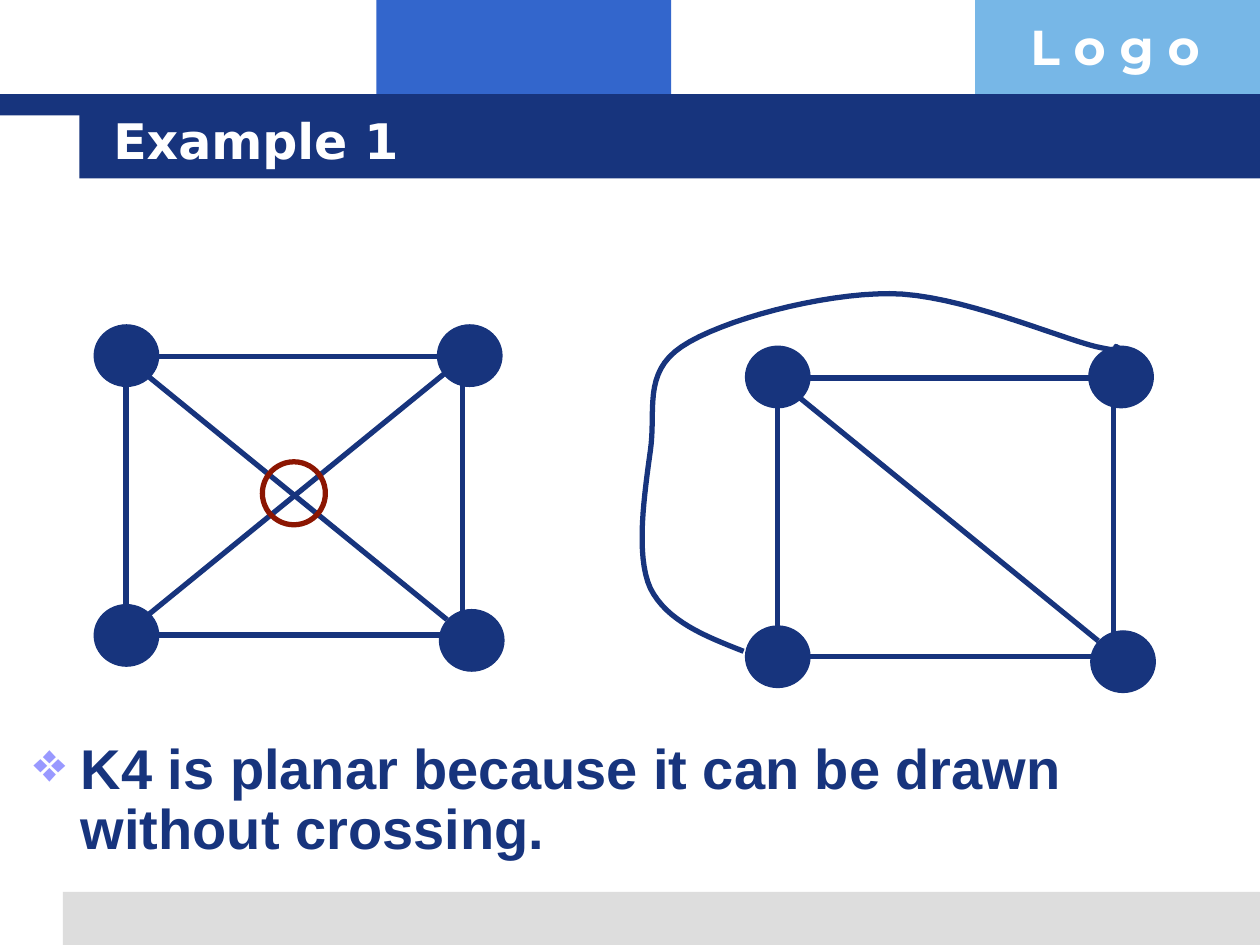
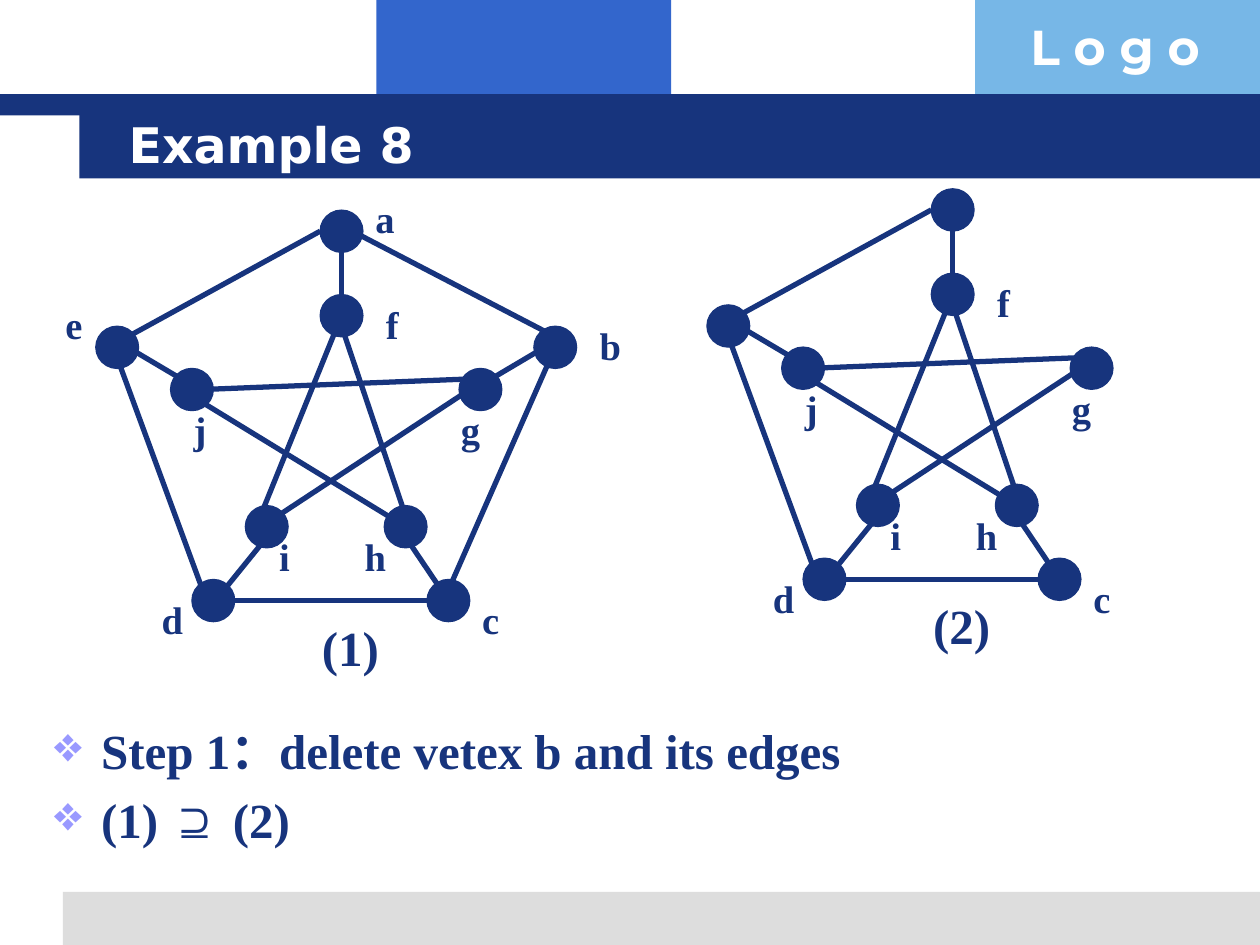
from dataclasses import dataclass

import pptx
import pptx.dml.color
import pptx.enum.shapes
import pptx.enum.text
import pptx.oxml
import pptx.oxml.ns
import pptx.util
from lxml import etree

Cm = pptx.util.Cm
Pt = pptx.util.Pt
SHAPE = pptx.enum.shapes.MSO_SHAPE
ANCHOR = pptx.enum.text.MSO_ANCHOR


@dataclass(frozen=True)
class Theme:
    navy: str = "17347D"
    blue: str = "3366CC"
    sky: str = "77B7E7"
    grey: str = "DDDDDD"
    white: str = "FFFFFF"
    crossing: str = "8C1602"
    bullet: str = "9999FF"
    title_font: str = "DejaVu Sans"
    logo_font: str = "Montserrat"
    sans: str = "Arial"
    serif: str = "Times New Roman"
    heading: int = 28
    statement: int = 32
    label: int = 22
    edge: float = 3
    outline: float = 0.75


# Positions within one K4 drawing, in cm from its top left corner
K4_NODES = [(0, 0), (0, 5.64), (6.92, 0), (6.96, 5.74)]
K4_NODE_SIZE = (1.3, 1.24)
K4_RISING = (0.97, 5.94, 7.11, 0.94)
K4_PLANAR_EDGES = [
    (0.97, 0.94, 7.11, 5.94),
    (1.3, 0.64, 7.11, 0.64),
    (1.3, 6.25, 7.11, 6.25),
    (0.64, 1.24, 0.64, 5.64),
    (7.42, 0.94, 7.42, 5.94),
]
DETOUR_START = (14.99, 13.13)
DETOUR_CURVES = [
    ((14.22, 12.83), (13.44, 12.52), (13.11, 11.86)),
    ((12.8, 11.18), (13, 9.91), (13.11, 9.09)),
    ((13.23, 8.28), (12.95, 7.52), (13.74, 6.99)),
    ((14.55, 6.45), (16.54, 5.92), (17.93, 5.92)),
    ((19.3, 5.92), (21.34, 6.81), (22.1, 6.99)),
    ((22.86, 7.16), (22.45, 6.96), (22.5, 6.99)),
]

# The Petersen graph lies on a grid of 50 columns and 40 rows
COLUMN, ROW = 10.77 / 50, 8.51 / 40
PETERSEN_NODES = {
    "a": (25, 2), "b": (45, 13), "c": (35, 37), "d": (13, 37), "e": (4, 13),
    "f": (25, 10), "g": (38, 17), "h": (31, 30), "i": (18, 30), "j": (11, 17),
}
PETERSEN_LABELS = {
    "a": (29, 0), "b": (50, 12), "c": (39, 38), "d": (9, 38), "e": (0, 10),
    "f": (30, 10), "g": (37, 20), "h": (28, 32), "i": (20, 32), "j": (12, 20),
}
PETERSEN_EDGES = {
    "ab": (28, 4, 47, 14), "bc": (47, 15, 37, 38), "cd": (36, 39, 16, 39),
    "de": (14, 38, 6, 16), "ea": (7, 14, 25, 4),
    "af": (27, 5, 27, 11), "bg": (46, 15, 41, 18), "ch": (37, 39, 33, 33),
    "di": (16, 38, 20, 33), "ej": (7, 15, 12, 18),
    "fh": (27, 13, 33, 31), "fi": (27, 12, 19, 32), "gi": (39, 19, 21, 31),
    "gj": (39, 18, 14, 19), "hj": (33, 32, 12, 19),
}
CAPTION_CELL = (24, 40)


def rgb(color):
    return pptx.dml.color.RGBColor.from_string(color)


def bezier(start, control1, control2, end, steps=16):
    """Return points along a cubic curve, without its start."""
    points = []
    for step in range(1, steps + 1):
        t = step / steps
        u = 1 - t
        points.append(tuple(
            u**3 * p + 3 * u * u * t * q + 3 * u * t * t * r + t**3 * s
            for p, q, r, s in zip(start, control1, control2, end)
        ))
    return points


class Deck:
    def __init__(self, theme):
        self.theme = theme
        self.presentation = pptx.Presentation()
        self.presentation.slide_width = Cm(25.4)
        self.presentation.slide_height = Cm(19.05)
        self.layout = self.presentation.slide_layouts[5]
        self.slide = None
        self.has_bands = False

    def start_slide(self, title, left, top):
        self.slide = self.presentation.slides.add_slide(self.layout)
        if not self.has_bands:
            self.put_bands_on_layout()
        heading = self.slide.shapes.title
        heading.left, heading.top = Cm(left), Cm(top)
        heading.width, heading.height = Cm(21.67), Cm(1.57)
        frame = heading.text_frame
        frame.auto_size = pptx.enum.text.MSO_AUTO_SIZE.NONE
        frame.vertical_anchor = ANCHOR.MIDDLE
        frame.paragraphs[0].alignment = pptx.enum.text.PP_ALIGN.LEFT
        self.run(frame.paragraphs[0], title, self.theme.title_font,
                 self.theme.heading, self.theme.white)

    def put_bands_on_layout(self):
        """Draw the bands once and move them to the layout, behind the titles."""
        theme = self.theme
        for placeholder in list(self.layout.placeholders):
            if placeholder.placeholder_format.idx != 0:
                self.layout.shapes.element.remove(placeholder.element)
        bands = [
            self.shape(SHAPE.RECTANGLE, *box, fill=color)
            for box, color in [
                ((7.59, 0, 5.94, 2.34), theme.blue),
                ((19.66, 0, 5.74, 2.34), theme.sky),
                ((1.27, 17.98, 24.13, 1.07), theme.grey),
                ((0, 1.9, 25.4, 0.43), theme.navy),
                ((1.6, 1.9, 23.8, 1.7), theme.navy),
            ]
        ]
        bands.append(self.text("L o g o", 20.52, 0.2, 4.88, 1.45,
                               theme.logo_font, theme.heading, theme.white))
        for band in bands:
            self.layout.shapes.element.append(band.element)
        self.has_bands = True

    def run(self, paragraph, words, font, size, color, bold=True):
        run = paragraph.add_run()
        run.text = words
        run.font.name, run.font.size, run.font.bold = font, Pt(size), bold
        run.font.color.rgb = rgb(color)

    def frame(self, left, top, width, height):
        box = self.slide.shapes.add_textbox(Cm(left), Cm(top), Cm(width), Cm(height))
        box.text_frame.word_wrap = True
        return box

    def text(self, words, left, top, width, height, font, size, color):
        box = self.frame(left, top, width, height)
        self.run(box.text_frame.paragraphs[0], words, font, size, color)
        return box

    def bullets(self, left, top, width, height, size, items, line_spacing=1.0):
        """Each item is a list of (words, font, bold) runs."""
        frame = self.frame(left, top, width, height).text_frame
        for number, item in enumerate(items):
            paragraph = frame.add_paragraph() if number else frame.paragraphs[0]
            properties = paragraph._p.get_or_add_pPr()
            properties.set("marL", str(Cm(0.95)))
            properties.set("indent", str(Cm(-0.95)))
            tag = pptx.oxml.ns.qn
            color = etree.SubElement(properties, tag("a:buClr"))
            etree.SubElement(color, tag("a:srgbClr"), val=self.theme.bullet)
            etree.SubElement(properties, tag("a:buChar"), char="❖")
            paragraph.line_spacing = line_spacing
            if number:
                paragraph.space_before = Pt(0.2 * size)
            for words, font, bold in item:
                self.run(paragraph, words, font, size, self.theme.navy, bold)

    def shape(self, kind, left, top, width, height, fill=None, line=None, weight=0):
        shape = self.slide.shapes.add_shape(
            kind, Cm(left), Cm(top), Cm(width), Cm(height))
        self.paint(shape, fill, line, weight)
        return shape

    def paint(self, shape, fill, line, weight):
        shape.shadow.inherit = False
        if fill:
            shape.fill.solid()
            shape.fill.fore_color.rgb = rgb(fill)
        else:
            shape.fill.background()
        if line:
            shape.line.color.rgb = rgb(line)
            shape.line.width = Pt(weight)
        else:
            shape.line.fill.background()

    def node(self, left, top, width, height):
        navy = self.theme.navy
        self.shape(SHAPE.OVAL, left, top, width, height, navy, navy, self.theme.outline)

    def edge(self, x1, y1, x2, y2):
        edge = self.slide.shapes.add_connector(
            pptx.enum.shapes.MSO_CONNECTOR.STRAIGHT, Cm(x1), Cm(y1), Cm(x2), Cm(y2))
        edge.line.color.rgb = rgb(self.theme.navy)
        edge.line.width = Pt(self.theme.edge)
        etree.SubElement(edge._element.spPr, pptx.oxml.ns.qn("a:effectLst"))

    def curve(self, start, curves):
        points = [start]
        for control1, control2, end in curves:
            points += bezier(points[-1], control1, control2, end)
        lengths = [(Cm(x), Cm(y)) for x, y in points]
        builder = self.slide.shapes.build_freeform(*lengths[0])
        builder.add_line_segments(lengths[1:], close=False)
        self.paint(builder.convert_to_shape(), None, self.theme.navy, self.theme.edge)

    def k4(self, left, top, edges):
        for x1, y1, x2, y2 in edges:
            self.edge(left + x1, top + y1, left + x2, top + y2)
        for x, y in K4_NODES:
            self.node(left + x, top + y, *K4_NODE_SIZE)

    def petersen(self, left, top, caption, removed="", unlabelled=""):
        """Draw the graph without the removed vertices and their edges."""
        theme = self.theme

        def place(column, row):
            return left + column * COLUMN, top + row * ROW

        for ends, (x1, y1, x2, y2) in PETERSEN_EDGES.items():
            if not set(ends) & set(removed):
                self.edge(*place(x1, y1), *place(x2, y2))
        for vertex, cell in PETERSEN_NODES.items():
            if vertex not in removed:
                self.node(*place(*cell), 4 * COLUMN, 4 * ROW)
        for vertex, cell in PETERSEN_LABELS.items():
            if vertex not in removed + unlabelled:
                self.text(vertex, *place(*cell), 1.08, 1.19,
                          theme.serif, theme.label, theme.navy)
        self.text(caption, *place(*CAPTION_CELL), 2, 1.45,
                  theme.serif, theme.heading, theme.navy)


def main():
    theme = Theme()
    deck = Deck(theme)

    deck.start_slide("Example 1", 2.03, 2.03)
    deck.k4(1.9, 6.55, K4_PLANAR_EDGES + [K4_RISING])
    deck.shape(SHAPE.OVAL, 5.29, 9.31, 1.27, 1.27,
               line=theme.crossing, weight=theme.edge)
    deck.k4(15.03, 6.98, K4_PLANAR_EDGES)
    deck.curve(DETOUR_START, DETOUR_CURVES)
    deck.bullets(0.43, 14.81, 22.86, 2.74, theme.statement, [
        [("K4 is planar because it can be drawn without crossing.", theme.sans, True)],
    ], line_spacing=0.9)

    deck.start_slide("Example 8", 2.34, 2.11)
    deck.bullets(0.84, 14.4, 23.93, 3.4, theme.heading, [
        [("Step 1：delete vetex b and its edges", theme.serif, True)],
        [("(1) ", theme.serif, True), ("⊇ ", theme.sans, False),
         ("(2)", theme.serif, True)],
    ])
    deck.petersen(1.07, 3.81, "(1)")
    deck.petersen(13.39, 3.38, "(2)", removed="b", unlabelled="ae")

    deck.presentation.save("out.pptx")


if __name__ == "__main__":
    main()
